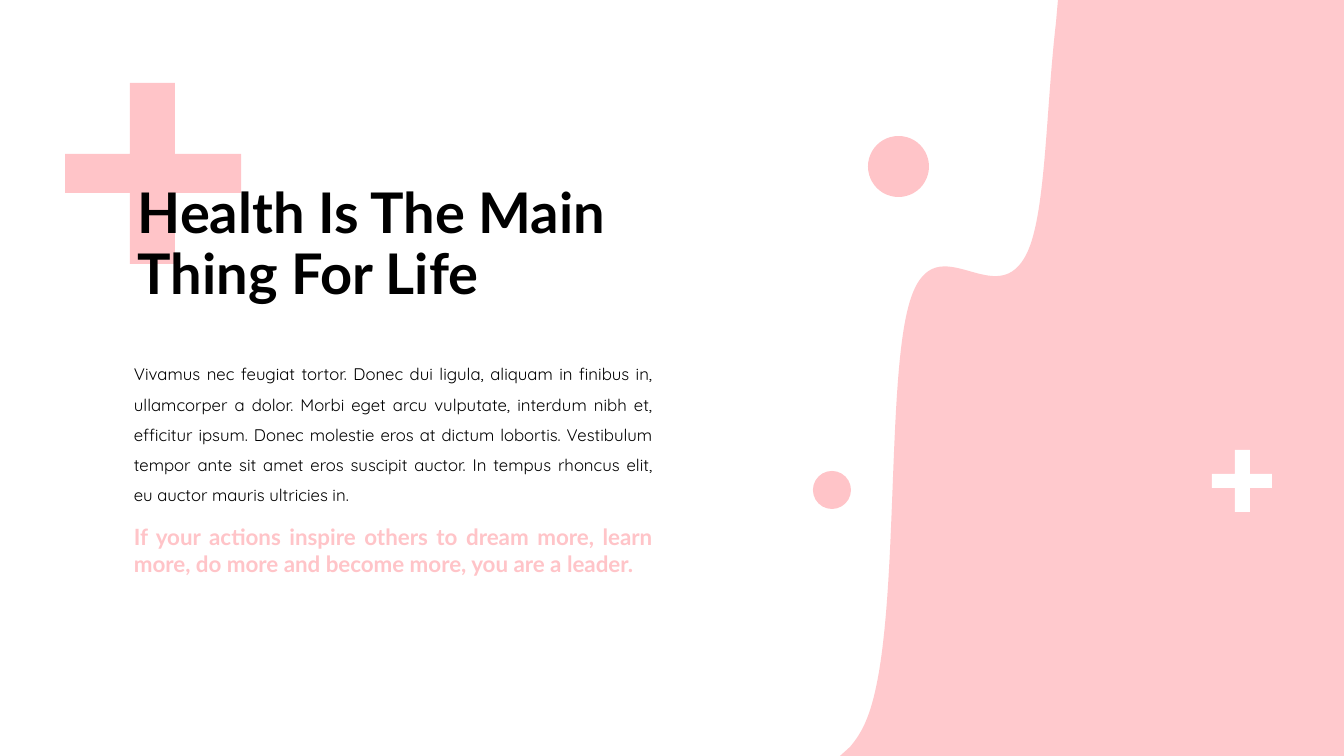
from lxml.etree import SubElement
from pptx import Presentation
from pptx.dml.color import RGBColor
from pptx.enum.shapes import MSO_SHAPE as Preset
from pptx.enum.text import MSO_ANCHOR as Anchor, PP_ALIGN as Align
from pptx.oxml.ns import qn
from pptx.util import Emu, Pt

EMU_PER_PX = 914400 / 100.8
WIDTH, HEIGHT = 1344, 756
COLORS = {"pink": "FFC4C8", "white": "FFFFFF", "black": "000000"}

TITLE = "Health Is The Main Thing For Life"
BODY = (
    "Vivamus nec feugiat tortor. Donec dui ligula, aliquam in finibus in, "
    "ullamcorper a dolor. Morbi eget arcu vulputate, interdum nibh et, "
    "efficitur ipsum. Donec molestie eros at dictum lobortis. Vestibulum "
    "tempor ante sit amet eros suscipit auctor. In tempus rhoncus elit, "
    "eu auctor mauris ultricies in."
)
QUOTE = (
    "If your actions inspire others to dream more, learn more, "
    "do more and become more, you are a leader."
)

# Text, box (left, top, width, height), font, size, bold, colour, alignment, spacing, anchor
TEXTS = [
    (BODY, (124, 349, 539, 163), "Quicksand", 12, False, "black", Align.JUSTIFY, 1.5, Anchor.TOP),
    (QUOTE, (124, 518, 539, 65), "Lato", 16, True, "pink", Align.JUSTIFY, 1.0, Anchor.TOP),
    (TITLE, (128, 173, 512, 146), "Lato", 40, True, "black", Align.LEFT, 0.9, Anchor.MIDDLE),
]

# Outer left, top, right, bottom, then the same edges of the crossing
BIG_PLUS = ((65, 83, 241, 264), (130, 154, 175, 193))
SMALL_PLUS = ((1212, 450, 1272, 512), (1235, 474, 1250, 488))

# Left, top, diameter
DOTS = [(813, 471, 38), (868, 136, 61)]

# Straight corners, then curves of two control points and an end point
WAVE_CORNERS = [(1058, 0), (WIDTH, 0), (WIDTH, HEIGHT), (840, HEIGHT), (850, 747)]
WAVE_CURVES = [
    [(856, 740), (862, 731), (866, 721)],
    [(902, 637), (884, 377), (911, 298)],
    [(937, 221), (998, 318), (1028, 251)],
    [(1046, 210), (1046, 109), (1056, 23)],
]


def px(length):
    return Emu(round(length * EMU_PER_PX))


def paint(shape, color):
    shape.shadow.inherit = False
    shape.fill.solid()
    shape.fill.fore_color.rgb = RGBColor.from_string(COLORS[color])
    shape.line.fill.background()


def add_outline(page, points, color):
    builder = page.shapes.build_freeform(*points[0], scale=EMU_PER_PX)
    builder.add_line_segments(points[1:], close=True)
    shape = builder.convert_to_shape()
    paint(shape, color)
    return shape


def add_plus(page, plus, color):
    (left, top, right, bottom), (x1, y1, x2, y2) = plus
    points = [
        (x1, top), (x2, top), (x2, y1), (right, y1), (right, y2), (x2, y2),
        (x2, bottom), (x1, bottom), (x1, y2), (left, y2), (left, y1), (x1, y1),
    ]
    add_outline(page, points, color)


def add_wave(page):
    """Draw the wave, joining each three curve points into one Bezier segment."""
    points = WAVE_CORNERS + [point for curve in WAVE_CURVES for point in curve]
    wave = add_outline(page, points, "pink")
    segments = list(wave.element.iter(qn("a:lnTo")))
    first = len(WAVE_CORNERS) - 1
    for start in range(first, first + 3 * len(WAVE_CURVES), 3):
        head, *others = segments[start:start + 3]
        outline = head.getparent()
        curve = SubElement(outline, qn("a:cubicBezTo"))
        outline.replace(head, curve)
        curve.append(head[0])
        for segment in others:
            curve.append(segment[0])
            outline.remove(segment)
    tint = wave.element.spPr.find(qn("a:solidFill"))[0]
    SubElement(tint, qn("a:alpha"), val="90000")


def add_dot(page, left, top, diameter):
    dot = page.shapes.add_shape(Preset.OVAL, px(left), px(top), px(diameter), px(diameter))
    paint(dot, "pink")


def add_text(page, text, place, font, size, bold, color, align, spacing, anchor):
    box = page.shapes.add_textbox(*map(px, place))
    frame = box.text_frame
    frame.word_wrap = True
    frame.vertical_anchor = anchor
    para = frame.paragraphs[0]
    para.alignment = align
    para.line_spacing = spacing
    span = para.add_run()
    span.text = text
    span.font.name = font
    span.font.size = Pt(size)
    span.font.bold = bold
    span.font.color.rgb = RGBColor.from_string(COLORS[color])


def main():
    deck = Presentation()
    deck.slide_width, deck.slide_height = px(WIDTH), px(HEIGHT)
    page = deck.slides.add_slide(deck.slide_layouts[6])
    add_wave(page)
    add_plus(page, BIG_PLUS, "pink")
    for dot in DOTS:
        add_dot(page, *dot)
    add_plus(page, SMALL_PLUS, "white")
    for text in TEXTS:
        add_text(page, *text)
    deck.save("out.pptx")


if __name__ == "__main__":
    main()
